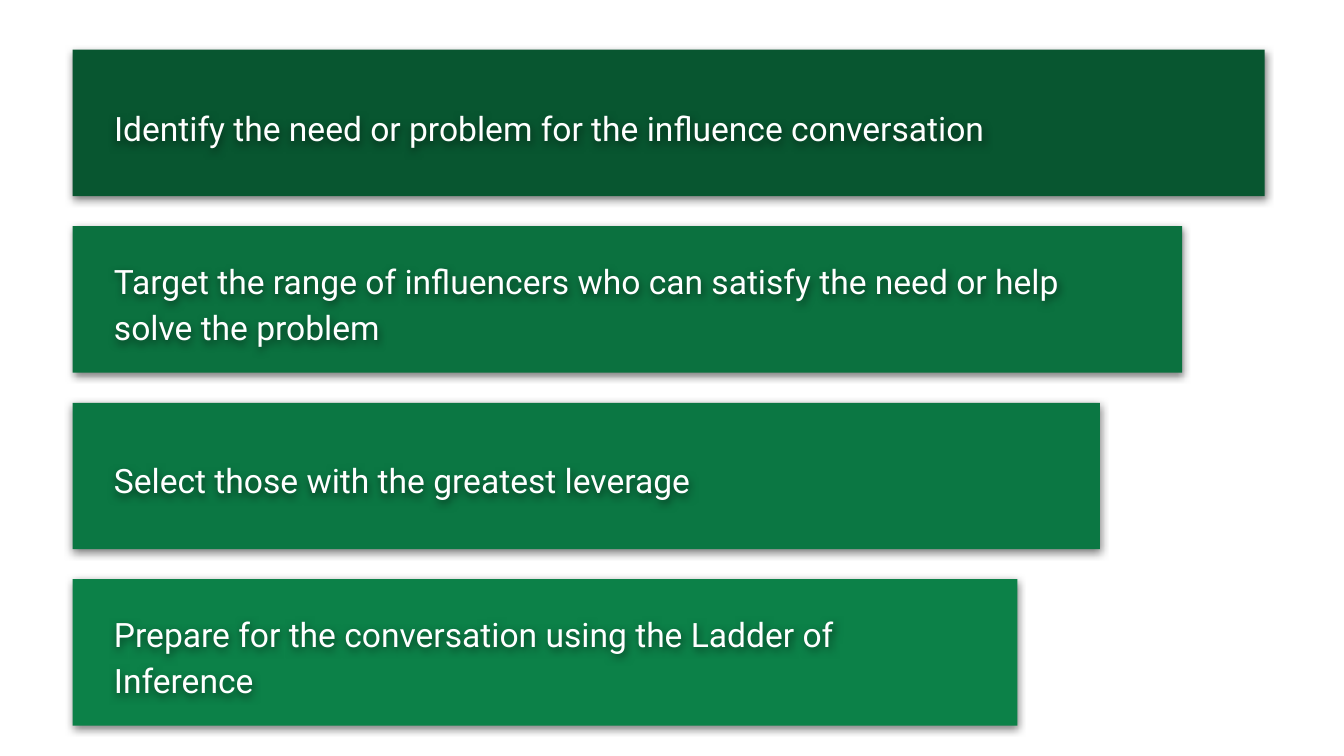
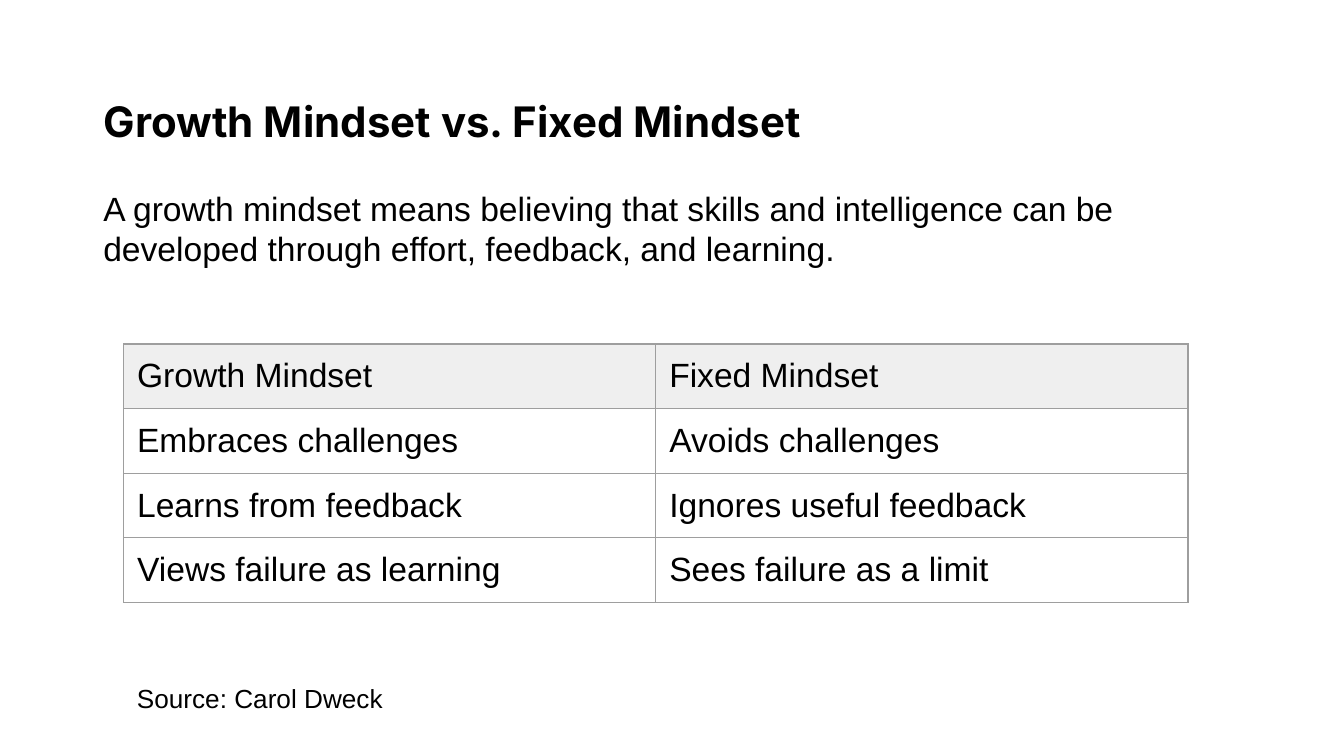
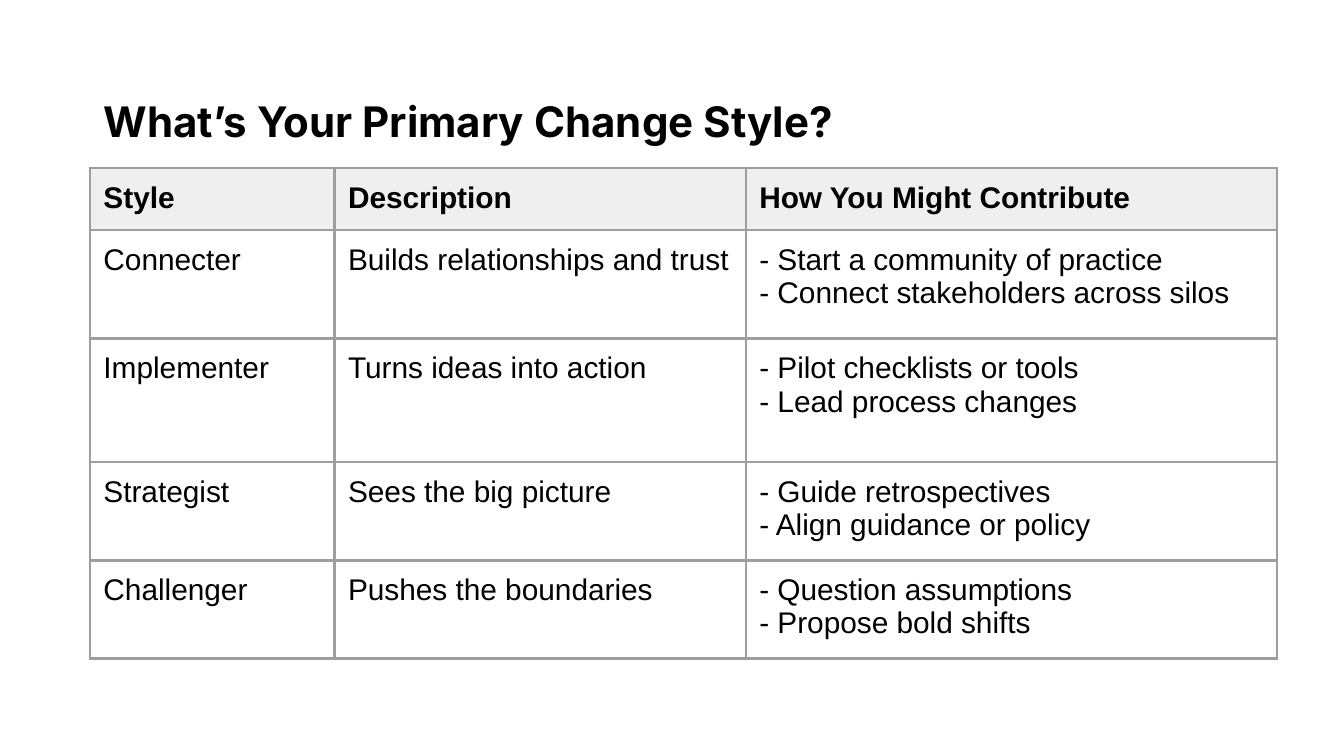
import lxml.etree
import pptx
import pptx.dml.color
import pptx.enum.shapes
import pptx.enum.text
import pptx.oxml.ns
import pptx.util

Inches = pptx.util.Inches
Color = pptx.dml.color.RGBColor
Anchor = pptx.enum.text.MSO_ANCHOR
Fit = pptx.enum.text.MSO_AUTO_SIZE

BLACK = Color(0x00, 0x00, 0x00)
WHITE = Color(0xFF, 0xFF, 0xFF)
GRAY = Color(0x9E, 0x9E, 0x9E)
PALE = Color(0xEF, 0xEF, 0xEF)
GREENS = [
    Color(0x08, 0x56, 0x30),
    Color(0x0B, 0x71, 0x3F),
    Color(0x0B, 0x77, 0x43),
    Color(0x0C, 0x81, 0x48),
]

STEPS = [
    ("Identify the need or problem for the influence conversation", 8.09, 0.13, 0.86),
    ("Target the range of influencers who can satisfy the need or help solve the problem",
     7.43, 0.31, 0.49),
    ("Select those with the greatest leverage", 6.54, 0.31, 0.49),
    ("Prepare for the conversation using the Ladder of Inference", 6.54, 0.31, 0.49),
]

MINDSETS = [
    ("Growth Mindset", "Fixed Mindset"),
    ("Embraces challenges", "Avoids challenges"),
    ("Learns from feedback", "Ignores useful feedback"),
    ("Views failure as learning", "Sees failure as a limit"),
]

STYLES = [
    ("Style", "Description", "How You Might Contribute"),
    ("Connecter", "Builds relationships and trust",
     "- Start a community of practice\n- Connect stakeholders across silos"),
    ("Implementer", "Turns ideas into action",
     "- Pilot checklists or tools\n- Lead process changes"),
    ("Strategist", "Sees the big picture",
     "- Guide retrospectives\n- Align guidance or policy"),
    ("Challenger", "Pushes the boundaries",
     "- Question assumptions\n- Propose bold shifts"),
]


def node(parent, tag, **attrs):
    return lxml.etree.SubElement(parent, pptx.oxml.ns.qn(tag), attrs)


def write(frame, text, size=18, font="Arial", color=BLACK, bold=False, space=None):
    frame.text = text
    for para in frame.paragraphs:
        para.alignment = pptx.enum.text.PP_ALIGN.LEFT
        if space:
            para.line_spacing = space
        for run in para.runs:
            run.font.size = pptx.util.Pt(size)
            run.font.name = font
            run.font.bold = bold
            run.font.color.rgb = color


class Deck:
    def __init__(self):
        self.file = pptx.Presentation()
        self.file.slide_width = Inches(10)
        self.file.slide_height = Inches(10) * 9 // 16
        self.slide = None

    def blank(self):
        self.slide = self.file.slides.add_slide(self.file.slide_layouts[6])

    def titled(self, text):
        self.slide = self.file.slides.add_slide(self.file.slide_layouts[5])
        title = self.slide.shapes.title
        title.left, title.top = Inches(0.67), Inches(0.67)
        title.width, title.height = Inches(8.04), Inches(0.38)
        self.frame(title.text_frame, 0.05, Anchor.MIDDLE)
        write(title.text_frame, text, size=22.5, font="Inter", bold=True, space=1.2)

    def frame(self, frame, pad, anchor, fit=Fit.NONE):
        frame.word_wrap = True
        frame.auto_size = fit
        frame.vertical_anchor = anchor
        frame.margin_left = frame.margin_right = Inches(0.1)
        frame.margin_top = frame.margin_bottom = Inches(pad)

    def text(self, text, left, top, width, height, home=None, pad=0.1,
             anchor=Anchor.MIDDLE, fit=Fit.NONE, **style):
        shapes = home.shapes if home else self.slide.shapes
        box = shapes.add_textbox(Inches(left), Inches(top), Inches(width), Inches(height))
        self.frame(box.text_frame, pad, anchor, fit)
        write(box.text_frame, text, **style)
        return box

    def shade(self, shape):
        shape.shadow.inherit = False
        effects = shape._element.spPr.find(pptx.oxml.ns.qn("a:effectLst"))
        outer = node(effects, "a:outerShdw", blurRad="57150", dist="19050",
                     dir="5400000", algn="bl", rotWithShape="0")
        tint = node(outer, "a:srgbClr", val=str(BLACK))
        node(tint, "a:alpha", val="50000")

    def band(self, text, top, width, color, span, drop, height):
        group = self.slide.shapes.add_group_shape()
        bar = group.shapes.add_shape(
            pptx.enum.shapes.MSO_SHAPE.RECTANGLE,
            Inches(0.54), Inches(top), Inches(width), Inches(1.09))
        bar.fill.solid()
        bar.fill.fore_color.rgb = color
        bar.line.fill.background()
        label = self.text(text, 0.75, top + drop, span, height, home=group,
                          pad=0.05, font="Roboto", color=WHITE, space=1.15)
        self.shade(bar)
        self.shade(label)

    def edge(self, cell, weight):
        props = cell._tc.get_or_add_tcPr()
        for side in ("a:lnL", "a:lnR", "a:lnT", "a:lnB"):
            line = node(props, side, w=str(pptx.util.Pt(weight)))
            node(node(line, "a:solidFill"), "a:srgbClr", val=str(GRAY))

    def table(self, data, left, top, cols, rows, weight, size=18, bold=False):
        table = self.slide.shapes.add_table(
            len(rows), len(cols), Inches(left), Inches(top),
            Inches(sum(cols)), Inches(sum(rows))).table
        table.first_row = table.horz_banding = False
        for col, width in zip(table.columns, cols):
            col.width = Inches(width)
        for i, (row, height) in enumerate(zip(table.rows, rows)):
            row.height = Inches(height)
            for cell, text in zip(row.cells, data[i]):
                cell.margin_left = cell.margin_right = Inches(0.1)
                cell.margin_top = cell.margin_bottom = Inches(0.1)
                self.edge(cell, weight)
                if i == 0:
                    cell.fill.solid()
                    cell.fill.fore_color.rgb = PALE
                else:
                    cell.fill.background()
                write(cell.text_frame, text, size=size, bold=bold and i == 0)


def main():
    deck = Deck()

    deck.blank()
    for i, (text, span, drop, height) in enumerate(STEPS):
        deck.band(text, 0.37 + i * 3.94 / 3, 8.87 - i * 1.84 / 3,
                  GREENS[i], span, drop, height)

    deck.titled("Growth Mindset vs. Fixed Mindset")
    deck.text("A growth mindset means believing that skills and intelligence can be "
              "developed through effort, feedback, and learning.", 0.67, 1.32, 8.68, 0.75)
    deck.table(MINDSETS, 0.92, 2.56, [3.96] * 2, [0.42] * 4, 0.75)
    deck.text("Source: Carol Dweck", 0.92, 4.98, 3.28, 0.44,
              anchor=Anchor.TOP, fit=Fit.SHAPE_TO_FIT_TEXT, size=14)

    deck.titled("What’s Your Primary Change Style?")
    deck.table(STYLES, 0.67, 1.25, [1.82, 3.06, 3.95],
               [0.46, 0.81, 0.92, 0.73, 0.73], 1.5, size=16, bold=True)

    deck.file.save("out.pptx")


if __name__ == "__main__":
    main()
